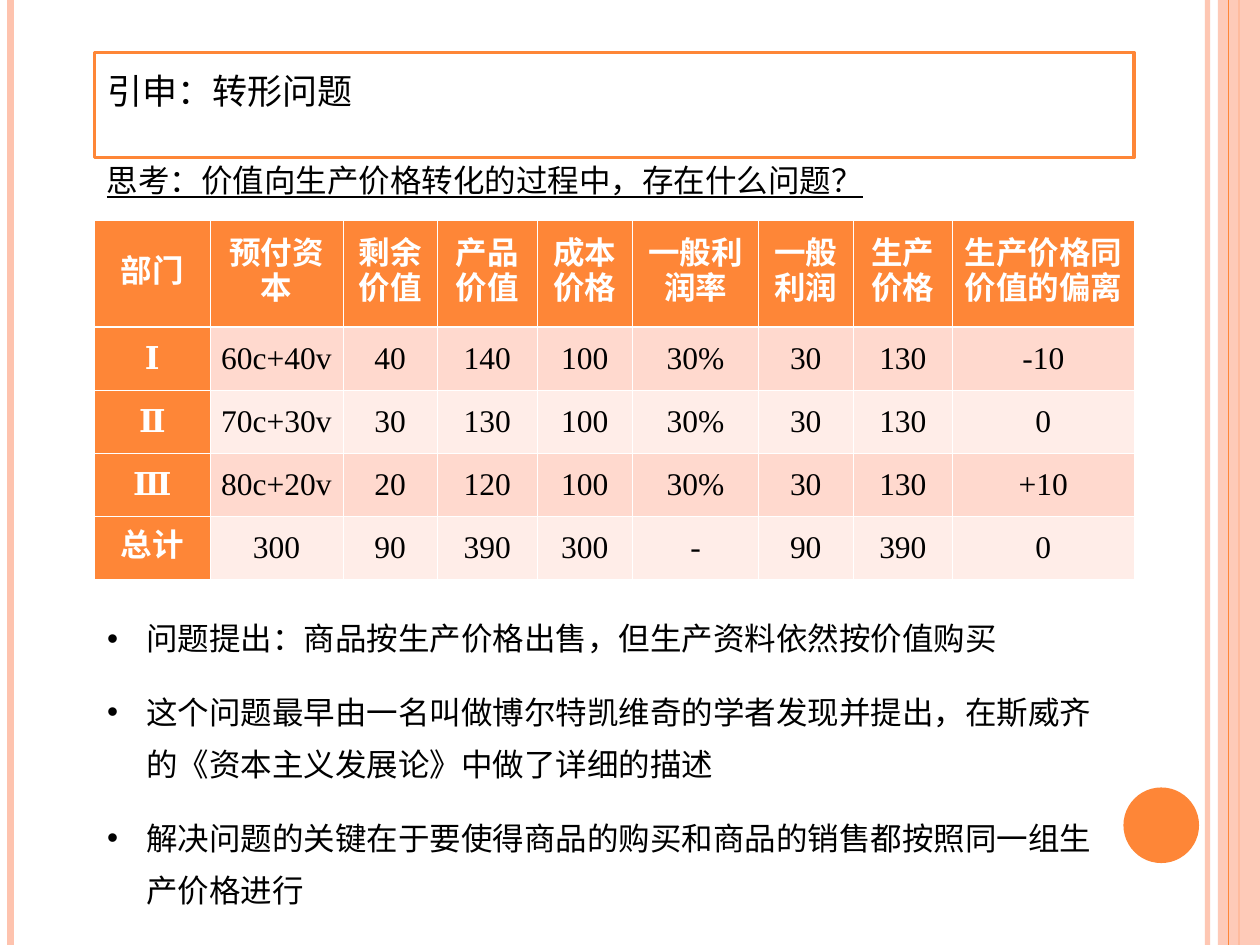
from dataclasses import dataclass

from lxml import etree
from pptx import Presentation
from pptx.dml.color import RGBColor
from pptx.enum.shapes import MSO_CONNECTOR, MSO_SHAPE
from pptx.enum.text import MSO_ANCHOR, MSO_AUTO_SIZE, PP_ALIGN
from pptx.oxml.ns import qn
from pptx.util import Pt

STRAIGHT = MSO_CONNECTOR.STRAIGHT
RECTANGLE, OVAL = MSO_SHAPE.RECTANGLE, MSO_SHAPE.OVAL
TOP, MIDDLE = MSO_ANCHOR.TOP, MSO_ANCHOR.MIDDLE
LEFT, CENTER = PP_ALIGN.LEFT, PP_ALIGN.CENTER
GROW = MSO_AUTO_SIZE.SHAPE_TO_FIT_TEXT


@dataclass(frozen=True)
class Theme:
    accent: str = "FE8637"
    pale: str = "FEC3AE"
    band_dark: str = "FFD9CE"
    band_light: str = "FFEDE8"
    white: str = "FFFFFF"
    black: str = "000000"
    title_size: float = 20
    text_size: float = 18
    title_font: str = "Cambria"
    serif: str = "Times New Roman"
    chinese: str = "Noto Sans CJK SC"


THEME = Theme()

TITLE = "引申：转形问题"
QUESTION = "思考：价值向生产价格转化的过程中，存在什么问题？"
COLUMN_WIDTHS = [66, 76, 54, 57, 54.5, 72, 54, 57, 103.5]
ROW_HEIGHTS = [61, 36, 36, 36, 36]
ROWS = [
    ["部门", "预付资本", "剩余价值", "产品价值", "成本价格", "一般利润率",
     "一般利润", "生产价格", "生产价格同价值的偏离"],
    ["Ⅰ", "60c+40v", "40", "140", "100", "30%", "30", "130", "-10"],
    ["Ⅱ", "70c+30v", "30", "130", "100", "30%", "30", "130", "0"],
    ["Ⅲ", "80c+20v", "20", "120", "100", "30%", "30", "130", "+10"],
    ["总计", "300", "90", "390", "300", "-", "90", "390", "0"],
]
POINTS = [
    "问题提出：商品按生产价格出售，但生产资料依然按价值购买",
    "这个问题最早由一名叫做博尔特凯维奇的学者发现并提出，在斯威齐的《资本主义发展论》中做了详细的描述",
    "解决问题的关键在于要使得商品的购买和商品的销售都按照同一组生产价格进行",
]


def color(value):
    return RGBColor.from_string(value)


def set_alpha(fill_owner, percent):
    swatch = next(fill_owner.iter(qn("a:srgbClr")))
    etree.SubElement(swatch, qn("a:alpha"), val=str(percent * 1000))


def write(para, text, font, size=THEME.text_size, ink=THEME.black, asian=THEME.chinese,
          bold=False, underline=False, align=LEFT, leading=30):
    para.alignment = align
    para.line_spacing = Pt(leading)
    para.space_before = para.space_after = Pt(6)
    span = para.add_run()
    span.text = text
    span.font.name, span.font.size = font, Pt(size)
    span.font.bold, span.font.underline = bold, underline
    span.font.color.rgb = color(ink)
    etree.SubElement(span.font._element, qn("a:ea"), typeface=asian)


def place(shape, box):
    shape.left, shape.top, shape.width, shape.height = map(Pt, box)
    frame = shape.text_frame
    frame.word_wrap, frame.auto_size, frame.vertical_anchor = True, GROW, TOP
    # Bring to the front
    shape.element.getparent().append(shape.element)
    return frame


def add_decoration(page, box):
    left, top, width, height = box

    def rule(offset, weight, ink):
        line = page.shapes.add_connector(STRAIGHT, Pt(left + offset), Pt(top),
                                         Pt(left + offset), Pt(top + height))
        line.line.color.rgb, line.line.width = color(ink), Pt(weight)
        etree.SubElement(line.element.spPr, qn("a:effectLst"))
        return line

    def solid(kind, x, y, w, h, ink):
        shape = page.shapes.add_shape(kind, Pt(left + x), Pt(top + y), Pt(w), Pt(h))
        shape.shadow.inherit = False
        shape.fill.solid()
        shape.fill.fore_color.rgb = color(ink)
        shape.line.fill.background()
        return shape

    # Edge lines, right band and circle
    set_alpha(rule(690, 3, THEME.pale).element, 93)
    rule(6, 4.5, THEME.pale)
    rule(708, 1.5, THEME.accent)
    set_alpha(solid(RECTANGLE, 696, 0, width - 696, height, THEME.pale).element, 87)
    rule(702, 0.75, THEME.accent)
    solid(OVAL, 642, 450, 43.2, 43.2, THEME.accent)


def add_title(page, box):
    title = page.shapes.title
    frame = place(title, box)
    title.fill.solid()
    title.fill.fore_color.rgb = color(THEME.white)
    title.line.color.rgb, title.line.width = color(THEME.accent), Pt(2)
    write(frame.paragraphs[0], TITLE, THEME.title_font, THEME.title_size)


def add_question(page, box):
    frame = place(page.shapes.add_textbox(*map(Pt, box)), box)
    write(frame.paragraphs[0], QUESTION, THEME.serif, underline=True)


def add_borders(cell, row):
    properties = cell._tc.get_or_add_tcPr()
    weights = {"a:lnL": 0.45, "a:lnR": 0.45,
               "a:lnT": 1.47 if row == 1 else 0.45,
               "a:lnB": 1.47 if row == 0 else 0.45}
    for side, weight in weights.items():
        border = etree.SubElement(properties, qn(side), w=str(Pt(weight)))
        fill = etree.SubElement(border, qn("a:solidFill"))
        etree.SubElement(fill, qn("a:srgbClr"), val=THEME.white)


def add_price_table(page, box):
    table = page.shapes.add_table(len(ROWS), len(COLUMN_WIDTHS), *map(Pt, box)).table
    table.first_col = True
    for column, width in zip(table.columns, COLUMN_WIDTHS):
        column.width = Pt(width)
    for r, (values, height) in enumerate(zip(ROWS, ROW_HEIGHTS)):
        table.rows[r].height = Pt(height)
        band = THEME.band_dark if r % 2 else THEME.band_light
        for c, value in enumerate(values):
            heading = r == 0 or c == 0
            cell = table.cell(r, c)
            cell.vertical_anchor = MIDDLE
            cell.margin_left = cell.margin_right = Pt(5.4)
            add_borders(cell, r)
            cell.fill.solid()
            cell.fill.fore_color.rgb = color(THEME.accent if heading else band)
            write(cell.text_frame.paragraphs[0], value, THEME.serif, bold=heading,
                  ink=THEME.white if heading else THEME.black,
                  asian=THEME.serif if value in "ⅠⅡⅢ" else THEME.chinese,
                  align=CENTER, leading=20)


def add_points(page, box):
    frame = place(page.placeholders[1], box)
    for i, text in enumerate(POINTS):
        para = frame.add_paragraph() if i else frame.paragraphs[0]
        para.level = 3
        write(para, text, THEME.chinese)
        # Hanging bullet
        properties = para._p.get_or_add_pPr()
        properties.set("marL", str(Pt(22.5)))
        properties.set("indent", str(Pt(-22.5)))
        tint = etree.SubElement(properties, qn("a:buClr"))
        etree.SubElement(tint, qn("a:srgbClr"), val=THEME.black)
        etree.SubElement(properties, qn("a:buFont"), typeface="Arial")
        etree.SubElement(properties, qn("a:buChar"), char="•")


def main():
    deck = Presentation()
    deck.slide_width, deck.slide_height = Pt(720), Pt(540)
    page = deck.slides.add_slide(deck.slide_layouts[1])
    left, width = 54, 594
    add_decoration(page, (0, 0, 720, 540))
    add_title(page, (left, 30, width, 37.5))
    add_question(page, (left, 80, width, 37.5))
    add_price_table(page, (left, 126, width, sum(ROW_HEIGHTS)))
    add_points(page, (left, 342, width, 181.5))
    deck.save("out.pptx")


if __name__ == "__main__":
    main()
